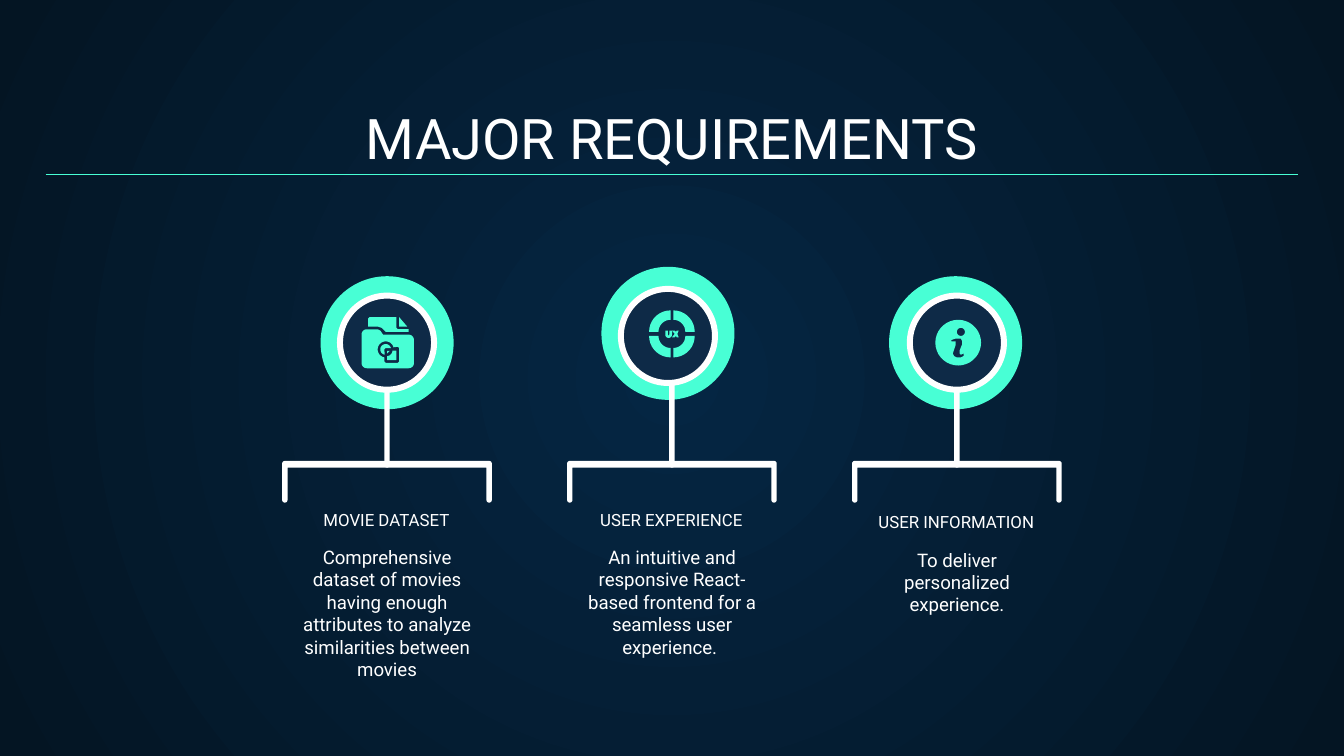
from dataclasses import dataclass
from itertools import product
from math import cos, radians, sin

from lxml import etree
from pptx import Presentation
from pptx.dml.color import RGBColor
from pptx.enum import shapes, text
from pptx.oxml import ns
from pptx.util import Inches, Pt

Point = tuple[float, float]
Contour = list[Point]


@dataclass(frozen=True)
class Theme:
    font: str = "Roboto"
    white: str = "FFFFFF"
    teal: str = "48FFD5"
    navy: str = "0E2A47"
    glow: str = "052643"
    edge: str = "041523"
    title: float = 30
    heading: float = 9
    body: float = 10
    rule: float = 0.75
    stroke: float = 3.2


@dataclass(frozen=True)
class Requirement:
    heading: str
    detail: str
    disc: Point
    ring: Point
    text_top: float


THEME = Theme()
FIRST_X, PITCH = 2.88, 2.12
REQUIREMENTS = [
    Requirement("MOVIE DATASET",
                "Comprehensive dataset of movies having enough attributes "
                "to analyze similarities between movies",
                (2.88, 2.55), (2.88, 2.55), 3.83),
    Requirement("USER EXPERIENCE",
                "An intuitive and responsive React-based frontend "
                "for a seamless user experience. ",
                (4.97, 2.48), (4.97, 2.5), 3.83),
    Requirement("USER INFORMATION", "To deliver personalized experience.",
                (7.11, 2.55), (7.12, 2.55), 3.85),
]


def rgb(value: str) -> RGBColor:
    return RGBColor.from_string(value)


def set_text(sp, content: str, *, size: float, anchor=text.MSO_ANCHOR.TOP) -> None:
    tf = sp.text_frame
    tf.word_wrap = True
    tf.auto_size = text.MSO_AUTO_SIZE.NONE
    tf.vertical_anchor = anchor
    tf.margin_left = tf.margin_right = tf.margin_top = tf.margin_bottom = Inches(0.1)
    p = tf.paragraphs[0]
    p.alignment = text.PP_ALIGN.CENTER
    r = p.add_run()
    r.text = content
    r.font.name, r.font.size = THEME.font, Pt(size)
    r.font.color.rgb = rgb(THEME.white)


def add_text(s, box: tuple[float, float, float, float], content: str, **fmt) -> None:
    set_text(s.shapes.add_textbox(*map(Inches, box)), content, **fmt)


def paint(sp, fill: str, line: str | None = None):
    sp.shadow.inherit = False
    sp.fill.solid()
    sp.fill.fore_color.rgb = rgb(fill)
    if line:
        sp.line.color.rgb = rgb(line)
        sp.line.width = Pt(THEME.stroke)
    else:
        sp.line.fill.background()
    return sp


def add_circle(s, center: Point, diameter: float, fill: str, line: str | None = None) -> None:
    x, y = center
    d = Inches(diameter)
    paint(s.shapes.add_shape(shapes.MSO_SHAPE.OVAL, Inches(x - diameter / 2),
                             Inches(y - diameter / 2), d, d), fill, line)


def add_outline(s, fill: str, *contours: Contour) -> None:
    first, *holes = [[(Inches(x), Inches(y)) for x, y in c] for c in contours]
    builder = s.shapes.build_freeform(*first[0])
    builder.add_line_segments(first[1:], close=True)
    for hole in holes:
        builder.move_to(*hole[0])
        builder.add_line_segments(hole[1:], close=True)
    paint(builder.convert_to_shape(), fill)


def arc(cx: float, cy: float, r: float, start: float, end: float) -> Contour:
    steps = max(4, round(abs(end - start) / 10))
    angles = [radians(start + (end - start) * i / steps) for i in range(steps + 1)]
    return [(cx + r * cos(a), cy + r * sin(a)) for a in angles]


def add_requirement(s, x: float, item: Requirement) -> None:
    left, right, tip = x - 0.76, x + 0.76, 0.02
    add_outline(s, THEME.white,
                arc(left, 3.45, tip, 180, 270) + arc(right, 3.45, tip, 270, 360)
                + arc(right, 3.72, tip, 0, 180)
                + [(right - tip, 3.48), (left + tip, 3.48)]
                + arc(left, 3.72, tip, 0, 180))
    add_circle(s, item.disc, 0.99, THEME.teal)
    stem = s.shapes.add_shape(shapes.MSO_SHAPE.ROUNDED_RECTANGLE, Inches(x - 0.02),
                              Inches(2.48), Inches(0.04), Inches(1))
    stem.adjustments[0] = 0.5
    paint(stem, THEME.white)
    add_circle(s, item.ring, 0.7, THEME.navy, THEME.white)
    add_text(s, (x - 1.14, item.text_top, 2.27, 0.21), item.heading,
             size=THEME.heading, anchor=text.MSO_ANCHOR.BOTTOM)
    add_text(s, (x - 0.76, item.text_top + 0.13, 1.52, 0.55), item.detail, size=THEME.body)


def add_folder_icon(s) -> None:
    fold = [(2.97, 2.36), (2.97, 2.43), (3.03, 2.43)]
    paper = [(2.75, 2.36), (2.74, 2.37), (2.74, 2.43), (2.81, 2.43), (2.84, 2.44),
             (2.87, 2.47), (3.04, 2.47), (3.04, 2.45), (2.96, 2.45), (2.95, 2.44),
             (2.95, 2.36)]
    folder = (arc(2.73, 2.49, 0.04, 180, 270) + [(2.81, 2.45), (2.83, 2.46), (2.85, 2.49)]
              + arc(3.04, 2.53, 0.04, 270, 360) + arc(3.04, 2.7, 0.04, 0, 90)
              + arc(2.73, 2.7, 0.04, 90, 180))
    emblem = (arc(2.87, 2.6, 0.06, 100, 345) + [(2.96, 2.58), (2.97, 2.59), (2.97, 2.69),
              (2.96, 2.7), (2.87, 2.7), (2.86, 2.69)])
    circle = arc(2.87, 2.6, 0.04, 100, 345) + [(2.87, 2.59), (2.86, 2.6)]
    overlap = [(2.88, 2.61), (2.88, 2.63), (2.9, 2.61)]
    square = arc(2.88, 2.61, 0.04, 0, 90) + [(2.88, 2.68), (2.95, 2.68), (2.95, 2.61)]
    add_outline(s, THEME.teal, folder, emblem)
    for part in (fold, paper, circle, overlap, square):
        add_outline(s, THEME.teal, part)


def add_ux_icon(s) -> None:
    for dx, dy in product((-1, 1), repeat=2):
        cx, cy = 5 + dx * 0.01, 2.485 + dy * 0.015
        quadrant = [(cx + dx * x, cy + dy * y)
                    for x, y in arc(0, 0, 0.16, 0, 90) + arc(0, 0, 0.09, 90, 0)]
        add_outline(s, THEME.teal, quadrant)
    letter_u = ([(4.95, 2.46)] + arc(4.975, 2.49, 0.025, 180, 0)
                + [(5, 2.46), (4.98, 2.46), (4.98, 2.49), (4.975, 2.5), (4.97, 2.49),
                   (4.97, 2.46)])
    letter_x = [(5, 2.46), (5.02, 2.485), (5, 2.51), (5.02, 2.51), (5.03, 2.5),
                (5.035, 2.51), (5.05, 2.51), (5.04, 2.485), (5.05, 2.46), (5.035, 2.46),
                (5.03, 2.47), (5.02, 2.46)]
    for letter in (letter_u, letter_x):
        add_outline(s, THEME.teal, letter)


def add_info_icon(s) -> None:
    stroke = [(7.08, 2.53), (7.11, 2.52), (7.15, 2.52), (7.16, 2.54), (7.16, 2.56),
              (7.14, 2.61), (7.14, 2.63), (7.15, 2.64), (7.17, 2.63), (7.17, 2.65),
              (7.15, 2.66), (7.12, 2.66), (7.1, 2.65), (7.09, 2.63), (7.11, 2.57),
              (7.11, 2.54), (7.08, 2.54)]
    add_outline(s, THEME.teal, arc(7.13, 2.55, 0.17, 0, 360),
                arc(7.15, 2.47, 0.03, 0, 360), stroke)


def set_background(s) -> None:
    fill = s.background.fill
    fill.gradient()
    for stop, colour in zip(fill.gradient_stops, (THEME.glow, THEME.edge)):
        stop.color.rgb = rgb(colour)
    grad = s._element.find(".//" + ns.qn("a:gradFill"))
    grad.remove(grad.find(ns.qn("a:lin")))
    radial = etree.SubElement(grad, ns.qn("a:path"), path="circle")
    etree.SubElement(radial, ns.qn("a:fillToRect"),
                     {side: "50000" for side in ("l", "t", "r", "b")})


def add_rule(s, y: float) -> None:
    line = s.shapes.add_connector(shapes.MSO_CONNECTOR.STRAIGHT, Inches(0.34), Inches(y),
                                  Inches(9.66), Inches(y))
    line.line.color.rgb = rgb(THEME.teal)
    line.line.width = Pt(THEME.rule)
    etree.SubElement(line._element.spPr, ns.qn("a:effectLst"))


def main() -> None:
    prs = Presentation()
    prs.slide_width = Inches(10)
    prs.slide_height = prs.slide_width * 9 // 16
    s = prs.slides.add_slide(prs.slide_layouts[5])
    set_background(s)
    title = s.shapes.title
    title.left, title.top, title.width, title.height = map(Inches, (0.34, 0.71, 9.32, 0.66))
    set_text(title, "MAJOR REQUIREMENTS", size=THEME.title, anchor=text.MSO_ANCHOR.BOTTOM)
    add_rule(s, 1.3)
    for i, item in enumerate(REQUIREMENTS):
        add_requirement(s, FIRST_X + i * PITCH, item)
    for add_icon in (add_folder_icon, add_ux_icon, add_info_icon):
        add_icon(s)
    prs.save("out.pptx")


if __name__ == "__main__":
    main()
